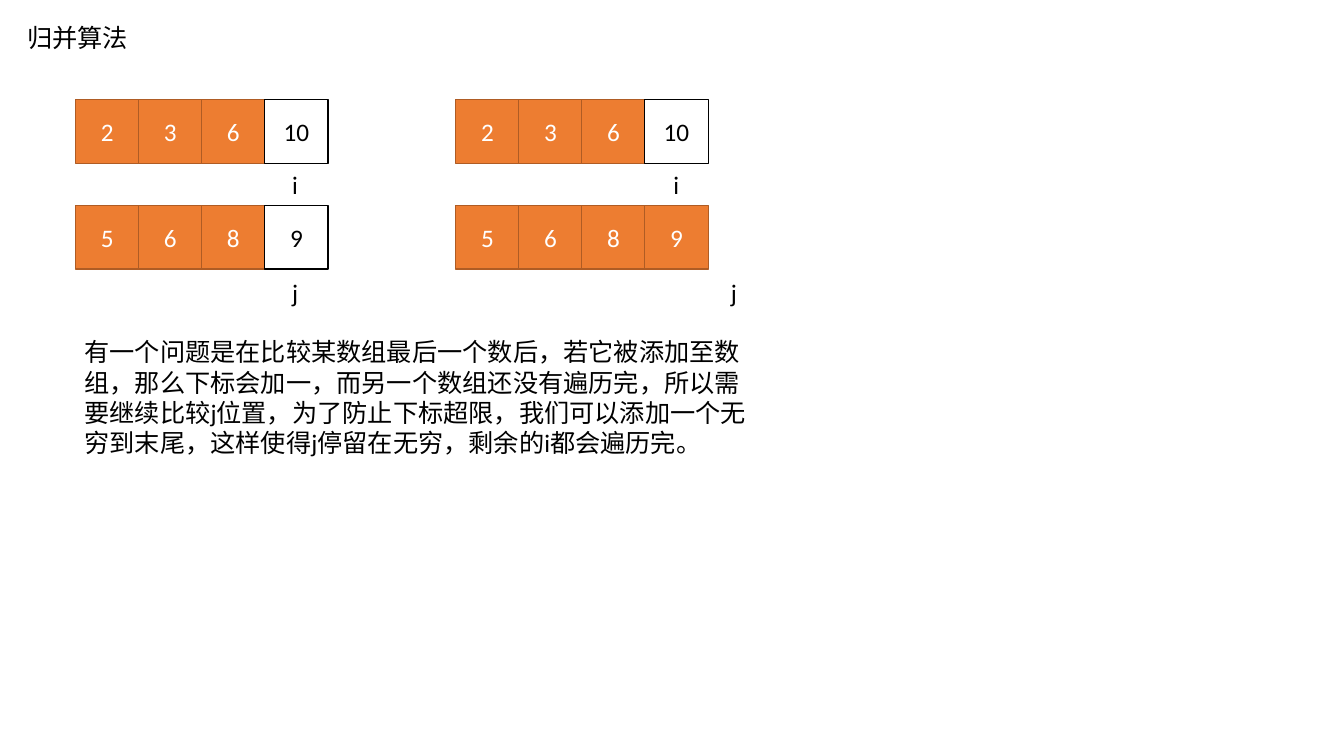
from dataclasses import dataclass

import pptx
import pptx.dml.color
import pptx.enum.shapes
import pptx.enum.text
import pptx.util

Inches = pptx.util.Inches


@dataclass(frozen=True)
class Theme:
    font: str = "Calibri"
    size: int = 18
    ink: str = "000000"
    paper: str = "FFFFFF"
    merged_fill: str = "ED7D31"
    merged_line: str = "AF5C24"


def rgb(value):
    return pptx.dml.color.RGBColor.from_string(value)


class SlideBuilder:
    def __init__(self, slide, theme):
        self.slide = slide
        self.theme = theme

    def set_text(self, frame, content, color):
        frame.text = content
        font = frame.paragraphs[0].runs[0].font
        font.name = self.theme.font
        font.size = pptx.util.Pt(self.theme.size)
        font.color.rgb = rgb(color)

    def text(self, content, left, top, width, height, wrap=False):
        box = self.slide.shapes.add_textbox(
            Inches(left), Inches(top), Inches(width), Inches(height))
        frame = box.text_frame
        self.set_text(frame, content, self.theme.ink)
        frame.word_wrap = wrap
        frame.auto_size = pptx.enum.text.MSO_AUTO_SIZE.SHAPE_TO_FIT_TEXT

    def cell(self, number, left, top, merged):
        theme = self.theme
        square = self.slide.shapes.add_shape(
            pptx.enum.shapes.MSO_SHAPE.RECTANGLE,
            Inches(left), Inches(top), Inches(CELL), Inches(CELL))
        square.shadow.inherit = False
        square.fill.solid()
        square.fill.fore_color.rgb = rgb(theme.merged_fill if merged else theme.paper)
        square.line.color.rgb = rgb(theme.merged_line if merged else theme.ink)
        square.line.width = pptx.util.Pt(1)
        frame = square.text_frame
        self.set_text(frame, str(number), theme.paper if merged else theme.ink)
        frame.vertical_anchor = pptx.enum.text.MSO_ANCHOR.MIDDLE
        frame.paragraphs[0].alignment = pptx.enum.text.PP_ALIGN.CENTER

    def array(self, numbers, left, top, merged_count):
        pitch = ARRAY_WIDTH / len(numbers)
        for index, number in enumerate(numbers):
            self.cell(number, left + index * pitch, top, index < merged_count)

    def index_label(self, letter, left, top):
        self.text(letter, left, top, 0.26, 0.4)


CELL = 0.63
ARRAY_WIDTH = 2.5
UPPER = [2, 3, 6, 10]
LOWER = [5, 6, 8, 9]
STAGES = [
    {"left": 0.75, "lower_merged": 3, "i_left": 2.8, "j_left": 2.8},
    {"left": 4.52, "lower_merged": 4, "i_left": 6.58, "j_left": 7.15},
]
EXPLANATION = (
    "有一个问题是在比较某数组最后一个数后，若它被添加至数组，"
    "那么下标会加一，而另一个数组还没有遍历完，所以需要继续比较j位置，"
    "为了防止下标超限，我们可以添加一个无穷到末尾，"
    "这样使得j停留在无穷，剩余的i都会遍历完。"
)


def main():
    deck = pptx.Presentation()
    deck.slide_width = Inches(13.33)
    deck.slide_height = Inches(7.5)
    builder = SlideBuilder(deck.slides.add_slide(deck.slide_layouts[6]), Theme())

    builder.text("归并算法", 0.17, 0.17, 1.21, 0.4)
    for stage in STAGES:
        builder.array(UPPER, stage["left"], 0.99, 3)
        builder.array(LOWER, stage["left"], 2.04, stage["lower_merged"])
        builder.index_label("i", stage["i_left"], 1.63)
        builder.index_label("j", stage["j_left"], 2.7)
    builder.text(EXPLANATION, 0.74, 3.29, 6.9, 1.31, wrap=True)

    deck.save("out.pptx")


if __name__ == "__main__":
    main()
